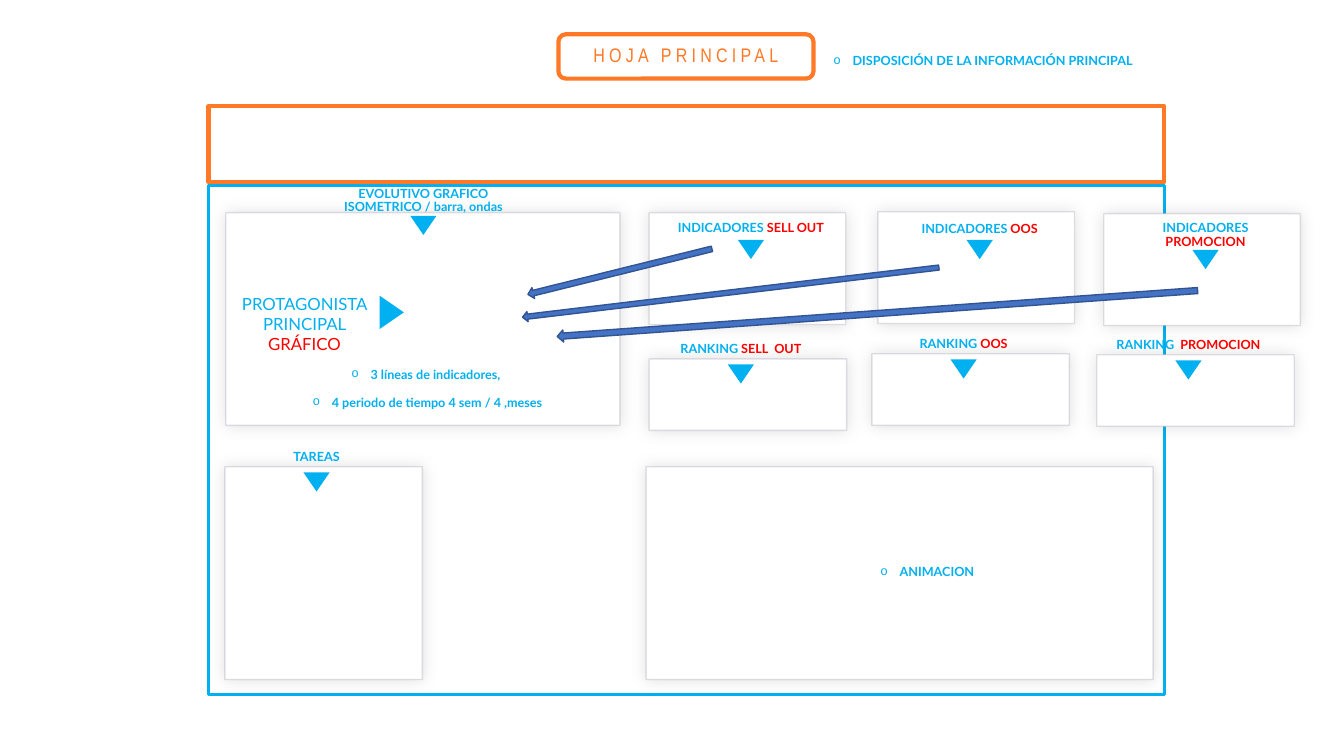
from lxml.etree import SubElement
from pptx import Presentation
from pptx.dml.color import RGBColor
from pptx.enum.shapes import MSO_SHAPE
from pptx.enum.text import MSO_ANCHOR, PP_ALIGN
from pptx.oxml import parse_xml
from pptx.oxml.ns import nsdecls, qn
from pptx.util import Pt

BLUE, RED, ORANGE, WHITE = "00B0F0", "FF0000", "FF7927", "FFFFFF"
ARROW_FILL, ARROW_LINE, CARD_LINE = "4472C4", "325491", "B2B2BF"
LABEL_FONT = {"name": "Lato", "size": Pt(9), "bold": True}
TITLE_FONT = {"name": "Arial Narrow", "size": Pt(14), "bold": False}
LEAD_FONT = {"name": "Lato", "size": Pt(12), "bold": False}
LABEL_SPACING = {"line_spacing": 0.9, "space_before": Pt(10)}
LABEL_WIDTH, LABEL_HEIGHT = 129.6, 18
MARKER_WIDTH, MARKER_HEIGHT = 18.7, 13.7
BULLET_INDENT = 13.7


def color(hex_string):
    return RGBColor.from_string(hex_string)


def set_attributes(target, values):
    for name, value in values.items():
        setattr(target, name, value)


def add_box(shapes, kind, box, fill=None, line=None, line_width=1, rotation=0):
    """Add a preset shape without a shadow; box is left, top, width, height."""
    shape = shapes.add_shape(kind, *map(Pt, box))
    shape.shadow.inherit = False
    shape.rotation = rotation
    if fill:
        shape.fill.solid()
        shape.fill.fore_color.rgb = color(fill)
    else:
        shape.fill.background()
    if line:
        shape.line.color.rgb = color(line)
        shape.line.width = Pt(line_width)
    else:
        shape.line.fill.background()
    return shape


def write_paragraph(paragraph, runs, font, spacing, bullet=False):
    """Write (text, colour) runs, centred, with an optional round bullet."""
    paragraph.alignment = PP_ALIGN.CENTER
    set_attributes(paragraph, spacing)
    if bullet:
        properties = paragraph._p.get_or_add_pPr()
        properties.set("marL", str(Pt(BULLET_INDENT)))
        properties.set("indent", str(-Pt(BULLET_INDENT)))
        SubElement(properties, qn("a:buFont"), typeface="Courier New")
        SubElement(properties, qn("a:buChar"), char="o")
    for text, text_color in runs:
        run = paragraph.add_run()
        run.text = text
        set_attributes(run.font, font)
        run.font.color.rgb = color(text_color)


def add_text(shapes, box, paragraphs, font=LABEL_FONT, spacing=LABEL_SPACING,
             anchor=MSO_ANCHOR.MIDDLE, bullet=False):
    frame = shapes.add_textbox(*map(Pt, box)).text_frame
    set_attributes(frame, {"word_wrap": True, "vertical_anchor": anchor})
    for index, runs in enumerate(paragraphs):
        paragraph = frame.add_paragraph() if index else frame.paragraphs[0]
        write_paragraph(paragraph, runs, font, spacing, bullet)


def add_panel(shapes, box):
    """Add a white panel with a faint border and a soft shadow."""
    panel = add_box(shapes, MSO_SHAPE.SNIP_1_RECTANGLE, box, WHITE, CARD_LINE)
    panel.adjustments[0] = 0
    line_color = panel.line._ln.find(".//" + qn("a:srgbClr"))
    SubElement(line_color, qn("a:alpha"), val="40000")
    effects = panel._element.spPr.find(qn("a:effectLst"))
    effects.append(parse_xml(
        f'<a:outerShdw {nsdecls("a")} blurRad="{Pt(12)}" dist="0" dir="16200000" '
        'algn="ctr" rotWithShape="0"><a:srgbClr val="000000">'
        '<a:alpha val="12000"/></a:srgbClr></a:outerShdw>'))


def add_card(slide, box, runs, label_offset, marker_top):
    """Add a panel with a label and, centred on the label, a marker."""
    shapes = slide.shapes.add_group_shape().shapes
    left, top = box[:2]
    label_left, label_top = left + label_offset[0], top + label_offset[1]
    marker_left = label_left + (LABEL_WIDTH - MARKER_WIDTH) / 2
    add_panel(shapes, box)
    add_text(shapes, (label_left, label_top, LABEL_WIDTH, LABEL_HEIGHT), [runs])
    add_box(shapes, MSO_SHAPE.ISOSCELES_TRIANGLE,
            (marker_left, top + marker_top, MARKER_WIDTH, MARKER_HEIGHT),
            BLUE, rotation=180)


def add_header(slide, box):
    left, top, width, height = box
    title = add_box(slide.shapes, MSO_SHAPE.ROUNDED_RECTANGLE, box, WHITE, ORANGE, 3)
    title.text_frame.vertical_anchor = MSO_ANCHOR.MIDDLE
    paragraph = title.text_frame.paragraphs[0]
    write_paragraph(paragraph, [("HOJA PRINCIPAL", ORANGE)], TITLE_FONT, LABEL_SPACING)
    paragraph.runs[0].font._element.set("spc", "300")
    add_text(slide.shapes, (left + width, top + 10.8, 241.9, 17.3),
             [[("DISPOSICIÓN DE LA INFORMACIÓN PRINCIPAL", BLUE)]], bullet=True)


def add_frames(slide, box):
    """Add the orange banner frame above the blue body frame."""
    left, top, width, height = box
    add_box(slide.shapes, MSO_SHAPE.RECTANGLE, (left, top, width, 54), WHITE, ORANGE, 3)
    add_box(slide.shapes, MSO_SHAPE.RECTANGLE,
            (left, top + 56.5, width, height - 56.5), None, BLUE, 2.25)


def add_evolution(slide, box):
    left, top = box[:2]
    add_card(slide, box, [("EVOLUTIVO GRAFICO ISOMETRICO / barra, ondas", BLUE)],
             (76.3, -17.3), 2.2)
    add_text(slide.shapes, (left - 4.3, top + 54, 121, 51.1),
             [[("PROTAGONISTA PRINCIPAL ", BLUE), ("GRÁFICO", RED)]],
             LEAD_FONT, {}, MSO_ANCHOR.TOP)
    add_box(slide.shapes, MSO_SHAPE.ISOSCELES_TRIANGLE,
            (left + 106.6, top + 62.6, 23.8, 17.3), BLUE, rotation=90)
    add_text(slide.shapes, (left + 23, top + 105.9, 241.9, 40.3),
             [[("3 líneas de indicadores, ", BLUE)],
              [("4 periodo de tiempo 4 sem / 4 ,meses", BLUE)]], bullet=True)


def add_indicators(slide):
    for left, top, topic, label_top, marker_top in (
            (463.7, 151.9, "SELL OUT", 2.2, 19.4),
            (627.1, 151.2, "OOS", 3.6, 20.2),
            (788.4, 152.6, "PROMOCION", 6.5, 25.9)):
        add_card(slide, (left, top, 140.4, 79.9),
                 [("INDICADORES ", BLUE), (topic, RED)], (7.9, label_top), marker_top)


def add_rankings(slide):
    for left, top, heading, topic in (
            (463.7, 256.3, "RANKING ", "SELL  OUT"),
            (622.8, 252.7, "RANKING ", "OOS"),
            (783.4, 253.4, "RANKING  ", "PROMOCION")):
        add_card(slide, (left, top, 141.1, 51.1),
                 [(heading, BLUE), (topic, RED)], (0.7, -15.8), 4)


def add_arrows(slide):
    for box, rotation in (((375.1, 190.1, 135.4, 7.9), 166.1),
                          ((372.2, 205.2, 299.5, 7.2), 173.2),
                          ((397.4, 219.6, 458.6, 8.6), 175.9)):
        add_box(slide.shapes, MSO_SHAPE.RIGHT_ARROW, box,
                ARROW_FILL, ARROW_LINE, rotation=rotation)


def add_animation(slide, box):
    left, top = box[:2]
    add_panel(slide.shapes, box)
    add_text(slide.shapes, (left + 79.9, top + 67, 241.9, 17.3),
             [[("ANIMACION", BLUE)]], bullet=True)


def main():
    presentation = Presentation()
    set_attributes(presentation, {"slide_width": Pt(960), "slide_height": Pt(540)})
    slide = presentation.slides.add_slide(presentation.slide_layouts[6])
    add_header(slide, (398.9, 24.5, 182.2, 31.7))
    add_frames(slide, (149, 76, 682.6, 420))
    add_evolution(slide, (161.3, 151.9, 281.5, 151.9))
    add_indicators(slide)
    add_rankings(slide)
    add_arrows(slide)
    add_card(slide, (160.6, 333.4, 141.1, 151.9), [("TAREAS", BLUE)], (0.7, -15.8), 4)
    add_animation(slide, (461.5, 333.4, 362.2, 151.9))
    presentation.save("out.pptx")


if __name__ == "__main__":
    main()
